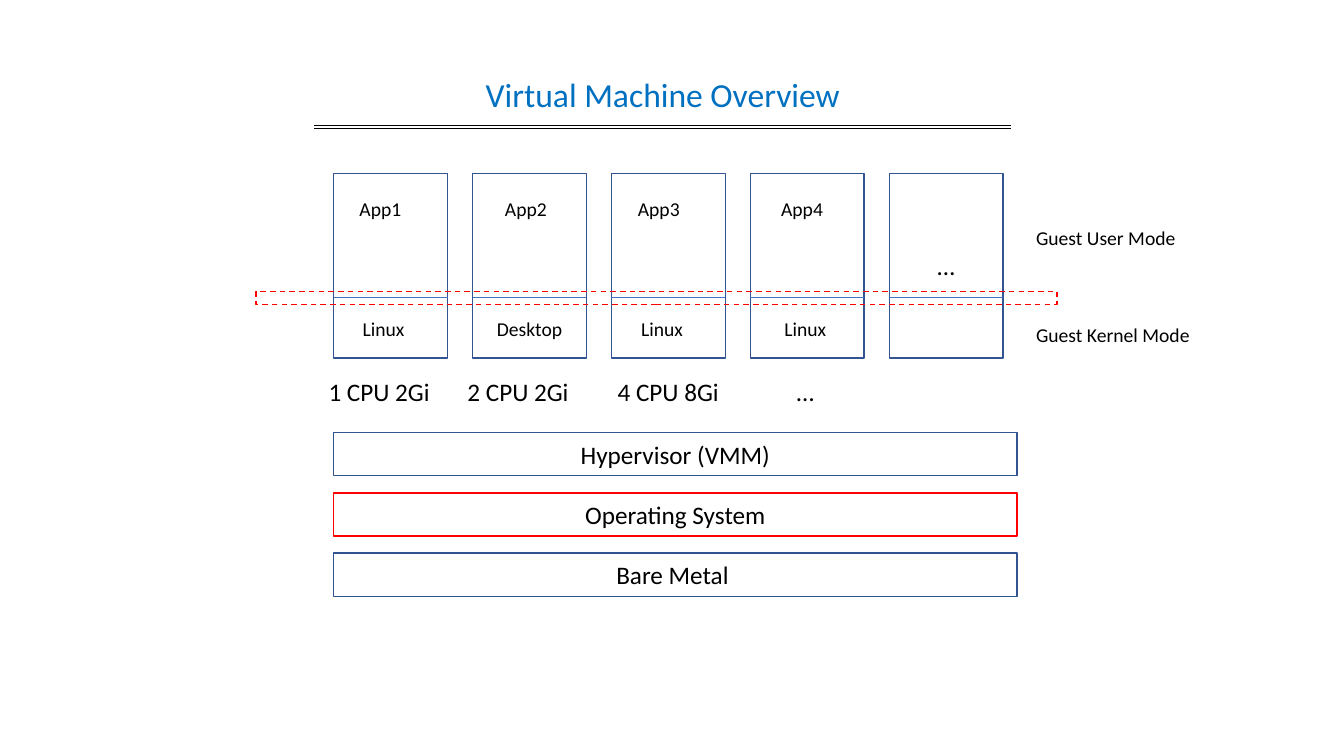
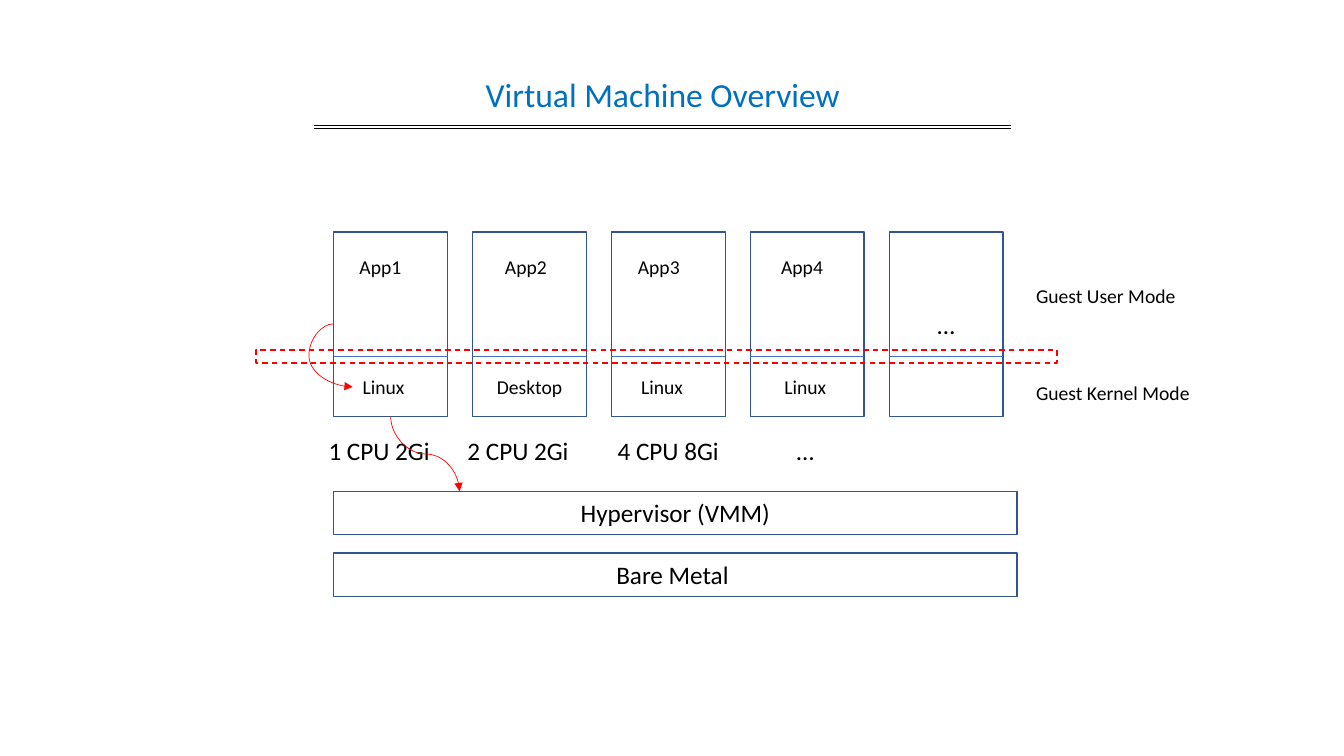
from lxml.etree import SubElement
from pptx import Presentation
from pptx.dml.color import RGBColor
from pptx.enum.dml import MSO_LINE_DASH_STYLE as Dash
from pptx.enum.shapes import MSO_CONNECTOR as Connector, MSO_SHAPE as Shape
from pptx.enum.text import MSO_ANCHOR as Anchor, MSO_AUTO_SIZE as AutoSize, PP_ALIGN as Align
from pptx.oxml.ns import qn
from pptx.util import Cm, Pt

# Shared look
FONT = "Calibri"
BLACK, WHITE, RED = "000000", "FFFFFF", "FF0000"
TITLE_BLUE, BORDER_BLUE, DIVIDER_BLUE = "0070C0", "325491", "4472C4"
SMALL, MEDIUM, LARGE = 14, 18, 24
TEXT_HEIGHTS = {SMALL: 0.86, MEDIUM: 1.02, LARGE: 1.27}

# Content: labels are (text, left, width, alignment), lengths in cm
TITLE = "Virtual Machine Overview"
APP_LABELS = [
    ("App1", 8.81, 1.57, Align.LEFT),
    ("App2", 12.47, 1.57, Align.CENTER),
    ("App3", 15.82, 1.57, Align.CENTER),
    ("App4", 19.43, 1.57, Align.CENTER),
]
SYSTEM_LABELS = [
    ("Linux", 8.89, 1.57, Align.LEFT),
    ("Desktop", 12.14, 2.41, Align.CENTER),
    ("Linux", 15.9, 1.57, Align.CENTER),
    ("Linux", 19.51, 1.57, Align.CENTER),
]
SIZE_LABELS = [
    ("1 CPU 2Gi", 8.03, 3.23, Align.LEFT),
    ("2 CPU 2Gi", 11.53, 3.1, Align.LEFT),
    ("4 CPU 8Gi", 15.29, 3.1, Align.CENTER),
    ("…", 19.81, 0.97, Align.CENTER),
]
# Rows of labels: (distance below the machine tops, text size, labels)
LABEL_ROWS = [
    (3.48, SMALL, SYSTEM_LABELS),
    (0.46, SMALL, APP_LABELS),
    (1.19, SMALL, [("Guest User Mode", 25.86, 4.06, Align.LEFT)]),
    (3.63, SMALL, [("Guest Kernel Mode", 25.86, 4.42, Align.LEFT)]),
    (5.0, MEDIUM, SIZE_LABELS),
]
MACHINES = ["", "", "", "", "…"]
# Slides: top of the machines, and the bars as (text, top, border)
SLIDES = [
    {"top": 4.37, "traps": False, "bars": [
        ("Bare Metal ", 13.94, BORDER_BLUE),
        ("Hypervisor (VMM)", 10.9, BORDER_BLUE),
        ("Operating System", 12.42, RED),
    ]},
    {"top": 5.85, "traps": True, "bars": [
        ("Bare Metal ", 13.94, BORDER_BLUE),
        ("Hypervisor (VMM)", 12.38, BORDER_BLUE),
    ]},
]

# Grid
LEFT, PITCH = 8.41, 3.5
MACHINE_WIDTH, MACHINE_HEIGHT = 2.87, 4.65
DIVIDER_DROP = 3.12
BAR_WIDTH, BAR_HEIGHT = 17.22, 1.09


def color(value):
    return RGBColor.from_string(value)


def apply(target, values):
    for name, value in values.items():
        setattr(target, name, value)


def write(shape, text, size, align, ink=BLACK):
    paragraph = shape.text_frame.paragraphs[0]
    paragraph.alignment = align
    run = paragraph.add_run()
    run.text = text
    apply(run.font, {"name": FONT, "size": Pt(size)})
    run.font.color.rgb = color(ink)


def add_label(slide, text, left, top, width, size, align, ink=BLACK, wrap=False):
    box = slide.shapes.add_textbox(Cm(left), Cm(top), Cm(width), Cm(TEXT_HEIGHTS[size]))
    apply(box.text_frame, {"word_wrap": wrap, "auto_size": AutoSize.SHAPE_TO_FIT_TEXT})
    write(box, text, size, align, ink)


def add_box(slide, left, top, width, height, border, text="", filled=True):
    shape = slide.shapes.add_shape(Shape.RECTANGLE, Cm(left), Cm(top), Cm(width), Cm(height))
    shape.shadow.inherit = False
    if filled:
        shape.fill.solid()
        shape.fill.fore_color.rgb = color(WHITE)
    else:
        shape.fill.background()
    shape.line.color.rgb = color(border)
    shape.line.width = Pt(1)
    if text:
        shape.text_frame.vertical_anchor = Anchor.MIDDLE
        write(shape, text, MEDIUM, Align.CENTER)
    return shape


def add_line(slide, start, end, ink, kind=Connector.STRAIGHT):
    line = slide.shapes.add_connector(kind, *map(Cm, start + end))
    line.line.color.rgb = color(ink)
    line.line.width = Pt(0.5)
    SubElement(line.element.spPr, qn("a:effectLst"))
    return line


def add_curved_arrow(slide, start, end, bend, downward=False):
    """Draw an arrow that leaves sideways, or downward by a quarter turn."""
    if downward:
        middle_x, middle_y = (start[0] + end[0]) / 2, (start[1] + end[1]) / 2
        half_width, half_height = (end[1] - start[1]) / 2, (end[0] - start[0]) / 2
        start = (middle_x + half_width, middle_y - half_height)
        end = (middle_x - half_width, middle_y + half_height)
    arrow = add_line(slide, start, end, RED, Connector.CURVE)
    properties = arrow.element.spPr
    if downward:
        properties.find(qn("a:xfrm")).set("rot", str(270 * 60000))
    adjustments = properties.find(qn("a:prstGeom")).find(qn("a:avLst"))
    SubElement(adjustments, qn("a:gd"), name="adj1", fmla=f"val {round(bend * 100000)}")
    SubElement(properties.find(qn("a:ln")), qn("a:tailEnd"), type="triangle")


def add_header(slide):
    for y in (3.17, 3.24):
        add_line(slide, (7.92, y), (25.48, y), BLACK)
    add_label(slide, TITLE, 8.08, 1.75, 17.25, LARGE, Align.CENTER, TITLE_BLUE, wrap=True)


def add_machines(slide, top):
    lefts = [LEFT + PITCH * column for column in range(len(MACHINES))]
    for left, text in zip(lefts, MACHINES):
        add_box(slide, left, top, MACHINE_WIDTH, MACHINE_HEIGHT, BORDER_BLUE, text)
    divider = top + DIVIDER_DROP
    for left in lefts:
        add_line(slide, (left, divider), (left + MACHINE_WIDTH, divider), DIVIDER_BLUE)
    for drop, size, labels in LABEL_ROWS:
        for text, left, width, align in labels:
            add_label(slide, text, left, top + drop, width, size, align)
    # Boundary between user mode and kernel mode
    boundary = add_box(slide, 6.45, top + 2.97, 20.19, 0.33, RED, filled=False)
    boundary.line.dash_style = Dash.DASH


def add_traps(slide, top):
    # From the application into its kernel, then from the kernel to the hypervisor
    add_curved_arrow(slide, (LEFT, top + 2.31), (8.89, top + 3.9), -1.3)
    bottom = (LEFT + MACHINE_WIDTH / 2, top + MACHINE_HEIGHT)
    add_curved_arrow(slide, bottom, (11.58, top + 6.53), 0.5, downward=True)


def main():
    presentation = Presentation()
    apply(presentation, {"slide_width": Cm(33.87), "slide_height": Cm(19.05)})
    for content in SLIDES:
        slide = presentation.slides.add_slide(presentation.slide_layouts[6])
        add_header(slide)
        for text, top, border in content["bars"]:
            add_box(slide, LEFT, top, BAR_WIDTH, BAR_HEIGHT, border, text)
        add_machines(slide, content["top"])
        if content["traps"]:
            add_traps(slide, content["top"])
    presentation.save("out.pptx")


if __name__ == "__main__":
    main()
